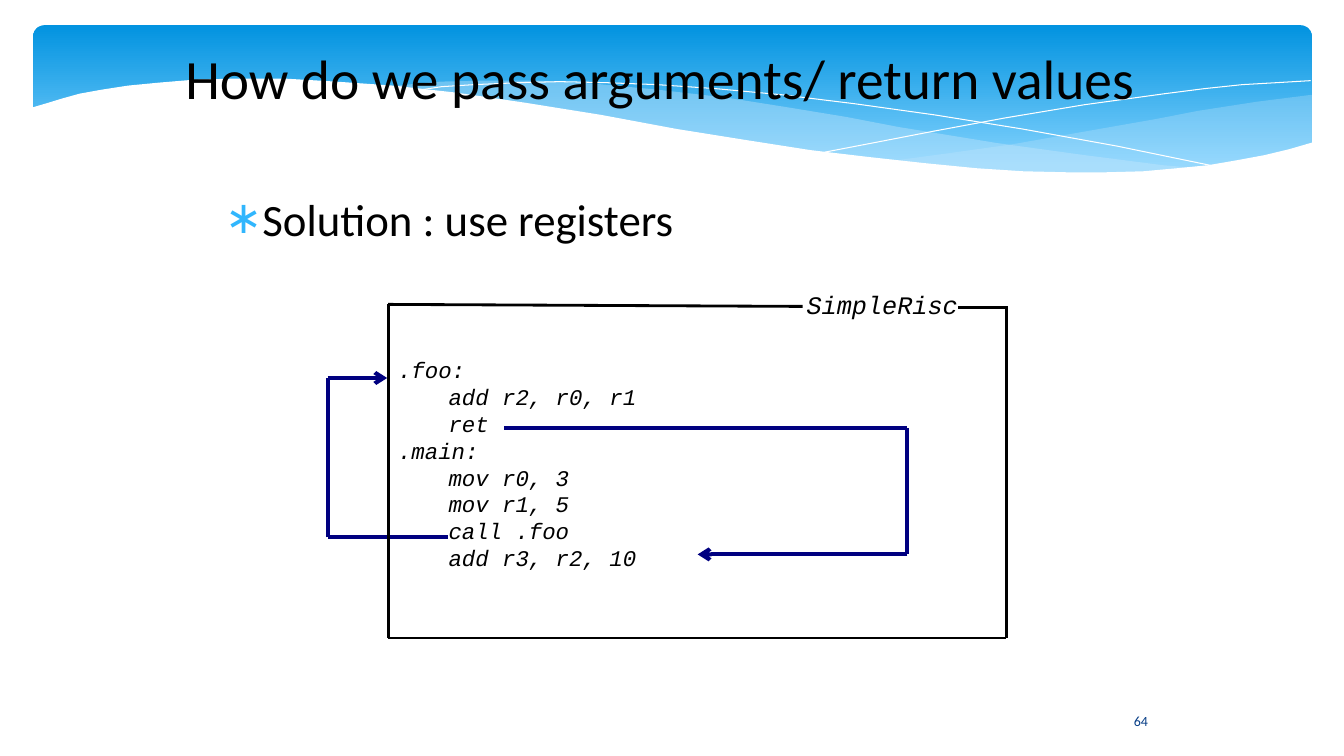
"""Build a slide on passing arguments and return values in registers."""
from dataclasses import dataclass
from itertools import pairwise
from typing import Optional

from lxml import etree
from pptx import Presentation
from pptx.dml.color import RGBColor
from pptx.enum.shapes import MSO_CONNECTOR, MSO_SHAPE
from pptx.enum.text import MSO_ANCHOR, MSO_AUTO_SIZE, PP_ALIGN
from pptx.oxml.ns import qn
from pptx.util import Emu, Inches, Pt

STRAIGHT = MSO_CONNECTOR.STRAIGHT
ROUND_RECT = MSO_SHAPE.ROUNDED_RECTANGLE
TOP, MIDDLE = MSO_ANCHOR.TOP, MSO_ANCHOR.MIDDLE
NO_FIT = MSO_AUTO_SIZE.NONE
LEFT, CENTER, JUSTIFY = PP_ALIGN.LEFT, PP_ALIGN.CENTER, PP_ALIGN.JUSTIFY

BLACK = RGBColor(0x00, 0x00, 0x00)
WHITE = RGBColor(0xFF, 0xFF, 0xFF)
NAVY = RGBColor(0x00, 0x00, 0x80)
PAGE_BLUE = RGBColor(0x07, 0x3E, 0x87)
BULLET_BLUE = RGBColor(0x31, 0xB6, 0xFD)
BANNER_TOP = RGBColor(0x02, 0x93, 0xE0)
BANNER_BOTTOM = RGBColor(0x83, 0xD3, 0xFE)
PALE_BLUE = RGBColor(0xC6, 0xE7, 0xFC)

COLUMNS, ROWS = 13.33, 7.5
COL = ROW = Inches(1)
SANS, MONO = "Calibri", "Courier New"

Point = tuple[float, float]


@dataclass(frozen=True)
class Wave:
    """An outline in the banner, filled when closed and drawn as a line when open."""
    points: list[Point]
    color: RGBColor
    alpha: int = 100
    closed: bool = True


@dataclass(frozen=True)
class Route:
    """A chain of straight lines through grid points."""
    points: list[Point]
    color: RGBColor
    width: float
    arrow: bool = False


@dataclass(frozen=True)
class Style:
    """The look of a block of text."""
    font: str
    size: float
    color: RGBColor = BLACK
    italic: bool = False
    align: Optional[PP_ALIGN] = None
    anchor: MSO_ANCHOR = TOP
    inset: bool = False


WAVES = [
    Wave([(13.01, 0.94), (12.46, 1.01), (11.88, 1.1), (11.47, 1.18), (10.73, 1.31),
          (10.05, 1.43), (9.41, 1.52), (8.82, 1.6), (9.4, 1.65), (9.93, 1.69),
          (10.41, 1.72), (10.99, 1.72), (11.51, 1.7), (11.96, 1.65), (12.38, 1.58),
          (12.66, 1.52), (13.01, 1.42)], PALE_BLUE, 29),
    Wave([(11.9, 1.67), (11.54, 1.64), (10.76, 1.54), (9.89, 1.42), (8.91, 1.26),
          (8.39, 1.16), (7.78, 1.06), (7.21, 0.97), (6.52, 0.89), (5.89, 0.83),
          (5.32, 0.8), (4.82, 0.8), (4.37, 0.81), (3.82, 0.86), (4.31, 0.9),
          (4.83, 0.97), (5.39, 1.06), (5.99, 1.16), (7.06, 1.35), (7.79, 1.46),
          (8.46, 1.56), (9.07, 1.63), (9.63, 1.68), (10.14, 1.71), (10.61, 1.73),
          (11.04, 1.73), (11.43, 1.71)], PALE_BLUE, 40),
    Wave([(4.12, 0.9), (4.38, 0.86), (4.7, 0.84), (5.16, 0.82), (5.55, 0.81),
          (6, 0.82), (6.52, 0.84), (7.1, 0.88), (7.75, 0.94), (8.48, 1.03),
          (9.27, 1.14), (10.14, 1.28), (11.08, 1.45), (12.1, 1.66)], WHITE, closed=False),
    Wave([(8.18, 1.51), (8.7, 1.41), (9.27, 1.3), (9.97, 1.17), (10.75, 1.04),
          (11.55, 0.93), (11.94, 0.88), (12.32, 0.84), (12.67, 0.82), (13, 0.8)],
         WHITE, closed=False),
    Wave([(13.03, 1.41), (12.79, 1.48), (12.54, 1.54), (12.27, 1.59), (11.98, 1.64),
          (11.67, 1.67), (11.34, 1.7), (10.97, 1.71), (10.58, 1.71), (10.15, 1.7),
          (9.69, 1.67), (9.18, 1.62), (8.63, 1.56), (8.04, 1.49), (7.4, 1.39),
          (6.71, 1.28), (5.96, 1.14), (5.21, 1.02), (4.53, 0.92), (3.9, 0.85),
          (3.33, 0.81), (2.82, 0.78), (2.35, 0.78), (1.94, 0.79), (1.58, 0.82),
          (1.27, 0.85), (1.01, 0.89), (0.79, 0.93), (0.61, 0.98), (0.48, 1.02),
          (0.31, 1.07), (0.31, 2.24), (13.03, 2.24)], WHITE),
]
FRAME_L, FRAME_R, FRAME_TOP, FRAME_BOTTOM = 3.85, 9.98, 3.04, 6.33
ROUTES = [
    Route([(4.44, 5.33), (3.25, 5.33), (3.25, 3.75), (3.84, 3.75)], NAVY, 2.83, True),
    Route([(5, 4.25), (9, 4.25), (9, 5.5), (6.92, 5.5)], NAVY, 2.83, True),
    Route([(7.96, FRAME_TOP), (FRAME_L, 3.02), (FRAME_L, FRAME_BOTTOM),
           (FRAME_R, FRAME_BOTTOM), (FRAME_R, FRAME_TOP)], BLACK, 0),
    Route([(9.5, 3.05), (FRAME_R, 3.05)], BLACK, 0),
]
CODE = [".foo:", "\tadd r2, r0, r1", "\tret", ".main:",
        "\tmov r0, 3", "\tmov r1, 5", "\tcall .foo", "\tadd r3, r2, 10"]


def cell(left: float, top: float, width: float, height: float) -> tuple[Emu, ...]:
    """Turn columns and rows into slide lengths."""
    return tuple(Emu(round(n * unit)) for n, unit in
                 zip((left, top, width, height), (COL, ROW, COL, ROW)))


def draw_banner(shapes) -> None:
    """Draw the rounded gradient band."""
    sp = shapes.add_shape(ROUND_RECT, *cell(0.33, 0.25, 12.68, 1.56))
    sp.shadow.inherit = False
    sp.adjustments[0] = 0.071
    sp.line.fill.background()
    sp.fill.gradient()
    sp.fill.gradient_angle = 270
    stops = zip(sp.fill.gradient_stops, (BANNER_TOP, BANNER_BOTTOM), (0, 0.9))
    for stop, color, position in stops:
        stop.color.rgb, stop.position = color, position


def draw_wave(shapes, wave: Wave) -> None:
    """Draw one outline of the banner."""
    first, *rest = [(x * COL, y * ROW) for x, y in wave.points]
    builder = shapes.build_freeform(*first)
    builder.add_line_segments(rest, close=wave.closed)
    sp = builder.convert_to_shape()
    sp.shadow.inherit = False
    if not wave.closed:
        sp.fill.background()
        sp.line.color.rgb, sp.line.width = wave.color, Pt(0)
        return
    sp.line.fill.background()
    sp.fill.solid()
    sp.fill.fore_color.rgb = wave.color
    if wave.alpha < 100:
        color = sp._element.spPr.find(qn("a:solidFill"))[0]
        etree.SubElement(color, qn("a:alpha"), val=str(wave.alpha * 1000))


def draw_route(shapes, route: Route) -> None:
    """Draw a chain of lines, with an arrowhead on the last when asked."""
    for (x1, y1), (x2, y2) in pairwise(route.points):
        line = shapes.add_connector(STRAIGHT, *cell(x1, y1, x2, y2))
        line.line.color.rgb, line.line.width = route.color, Pt(route.width)
        etree.SubElement(line._element.spPr, qn("a:effectLst"))
    if route.arrow:
        etree.SubElement(line.line._get_or_add_ln(), qn("a:tailEnd"), type="arrow")


def write(sp, lines: list[str], style: Style) -> list:
    """Write one paragraph a line and return the paragraphs."""
    tf = sp.text_frame
    tf.word_wrap, tf.auto_size, tf.vertical_anchor = True, NO_FIT, style.anchor
    if not style.inset:
        tf.margin_left = tf.margin_right = tf.margin_top = tf.margin_bottom = 0
    paragraphs = [tf.paragraphs[0]] + [tf.add_paragraph() for _ in lines[1:]]
    for p, text in zip(paragraphs, lines):
        p.alignment, p.space_before = style.align, Pt(0)
        r = p.add_run()
        r.text = text
        r.font.name, r.font.size = style.font, Pt(style.size)
        r.font.italic, r.font.color.rgb = style.italic, style.color
    return paragraphs


def place(shapes, sp, box: tuple[Emu, ...]) -> None:
    """Move a placeholder and bring it in front of the banner."""
    sp.left, sp.top, sp.width, sp.height = box
    shapes._spTree.append(sp._element)


def add_bullet(p) -> None:
    """Give a paragraph a blue asterisk and a hanging indent."""
    pPr = p._p.get_or_add_pPr()
    pPr.set("marL", str(Inches(0.47)))
    pPr.set("indent", str(Inches(-0.35)))
    color = etree.SubElement(pPr, qn("a:buClr"))
    etree.SubElement(color, qn("a:srgbClr"), val=str(BULLET_BLUE))
    etree.SubElement(pPr, qn("a:buFont"), typeface=SANS)
    etree.SubElement(pPr, qn("a:buChar"), char="∗")
    p.space_after = Pt(14.1)


def main() -> None:
    """Build and save the slide."""
    prs = Presentation()
    prs.slide_width, prs.slide_height = cell(0, 0, COLUMNS, ROWS)[2:]
    shapes = prs.slides.add_slide(prs.slide_layouts[1]).shapes
    title, body = shapes.title, shapes.placeholders[1] if hasattr(shapes, "placeholders") \
        else shapes[1]
    draw_banner(shapes)
    for wave in WAVES:
        draw_wave(shapes, wave)

    place(shapes, title, cell(1.67, 0.19, 9.75, 1.15))
    write(title, ["How do we pass arguments/ return values"],
          Style(SANS, 39.6, align=CENTER, anchor=MIDDLE))
    place(shapes, body, cell(2.11, 1.9, 8.11, 4.95))
    add_bullet(write(body, ["Solution\u00a0: use registers"], Style(SANS, 32, align=LEFT))[0])

    for route in ROUTES:
        draw_route(shapes, route)
    write(shapes.add_textbox(*cell(8, 2.87, 1.72, 0.47)), ["SimpleRisc"],
          Style(MONO, 18, italic=True))
    code = shapes.add_textbox(*cell(FRAME_L, 3.47, 4.61, 2.26))
    for p in write(code, CODE, Style(MONO, 16, italic=True, align=JUSTIFY,
                                     anchor=MIDDLE, inset=True)):
        tabs = etree.SubElement(p._p.get_or_add_pPr(), qn("a:tabLst"))
        etree.SubElement(tabs, qn("a:tab"), pos=str(Inches(0.5)), algn="l")
    write(shapes.add_textbox(*cell(11.01, 6.95, 0.61, 0.4)), ["64"],
          Style(SANS, 10, PAGE_BLUE, align=CENTER, anchor=MIDDLE, inset=True))
    prs.save("out.pptx")


if __name__ == "__main__":
    main()
